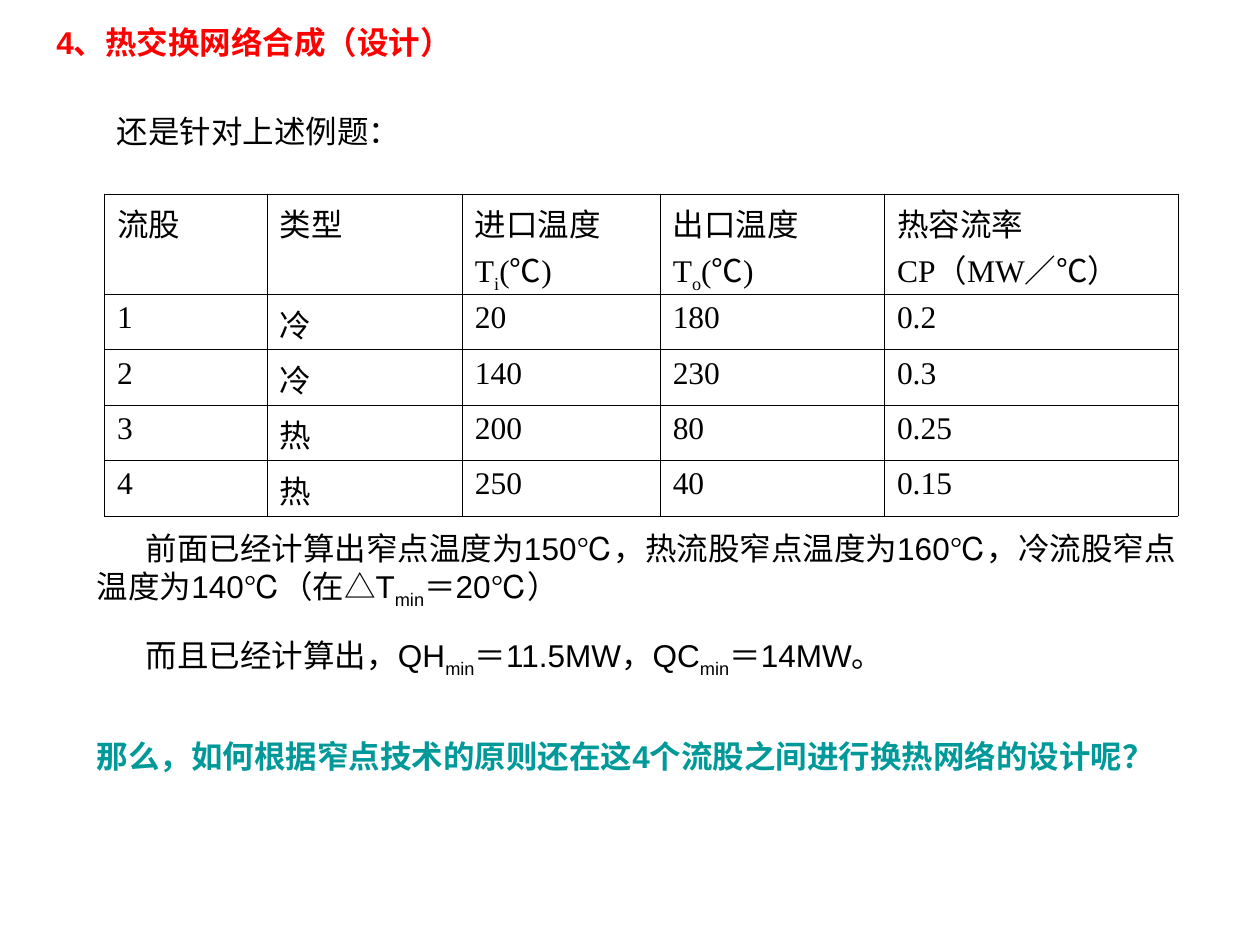
from dataclasses import dataclass

from lxml import etree
from pptx import Presentation
from pptx.dml.color import RGBColor
from pptx.enum.text import MSO_AUTO_SIZE
from pptx.oxml.ns import qn
from pptx.util import Emu, Pt

PX = 9144  # 100 px to the inch
FIT_SHAPE = MSO_AUTO_SIZE.SHAPE_TO_FIT_TEXT
COLORS = {"heading": "FF0000", "body": "000000", "question": "009999", "border": "000000"}
SANS, SERIF, CJK = "Arial", "Times New Roman", "Noto Sans CJK SC"
TEXT_SIZE = Pt(18)
BORDER_WIDTH = Pt(0.45)


@dataclass(frozen=True)
class Span:
    text: str
    subscript: bool = False
    font: str = ""


@dataclass(frozen=True)
class TextBlock:
    left: int
    top: int
    width: int
    height: int
    spans: tuple[Span, ...]
    color: str = "body"
    bold: bool = False
    indent: int = 0


MIN = Span("min", subscript=True)
BLOCKS = (
    TextBlock(35, 13, 480, 40, (Span("4、热交换网络合成（设计）"),), "heading", True),
    TextBlock(83, 84, 575, 40, (Span("还是针对上述例题："),)),
    TextBlock(67, 415, 882, 74, (
        Span("前面已经计算出窄点温度为150℃，热流股窄点温度为160℃，冷流股窄点温度为140℃（在△T"),
        MIN, Span("＝20℃）")), indent=39),
    TextBlock(67, 500, 882, 44, (
        Span("而且已经计算出，QH"), MIN, Span("＝11.5MW，QC"), MIN, Span("＝14MW。")), indent=39),
    TextBlock(67, 580, 890, 40, (
        Span("那么，如何根据窄点技术的原则还在这4个流股之间进行换热网络的设计呢？"),),
        "question", True),
)

TABLE_LEFT, TABLE_TOP = 83, 154
COLUMN_WIDTHS = (129, 155, 157, 178, 233)
HEADER_HEIGHT, ROW_HEIGHT = 77, 44


def temperature_spans(index: str) -> tuple[Span, ...]:
    return (Span("T"), Span(index, subscript=True), Span("("),
            Span("℃", font=CJK), Span(")"))


# Each header cell is a tuple of paragraphs, each paragraph a tuple of spans.
HEADER = (
    ((Span("流股"),),),
    ((Span("类型"),),),
    ((Span("进口温度"),), temperature_spans("i")),
    ((Span("出口温度"),), temperature_spans("o")),
    ((Span("热容流率"),), (Span("CP（MW／"), Span("℃）", font=CJK))),
)
STREAMS = (
    ("1", "冷", "20", "180", "0.2"),
    ("2", "冷", "140", "230", "0.3"),
    ("3", "热", "200", "80", "0.25"),
    ("4", "热", "250", "40", "0.15"),
)


def px(length: int) -> Emu:
    return Emu(length * PX)


def add_spans(para, spans: tuple[Span, ...], font: str, color: str = "body",
              bold: bool = False, east_asian: str = "") -> None:
    for span in spans:
        run = para.add_run()
        run.text = span.text
        run.font.name = span.font or font
        run.font.size = TEXT_SIZE
        run.font.bold = bold
        run.font.color.rgb = RGBColor.from_string(COLORS[color])
        properties = run._r.get_or_add_rPr()
        if span.subscript:
            properties.set("baseline", "-25000")
        if east_asian:
            etree.SubElement(properties, qn("a:ea"), typeface=east_asian)


def add_text_block(page, block: TextBlock) -> None:
    box = page.shapes.add_textbox(px(block.left), px(block.top),
                                  px(block.width), px(block.height))
    frame = box.text_frame
    frame.word_wrap = True
    frame.auto_size = FIT_SHAPE
    para = frame.paragraphs[0]
    if block.indent:
        properties = para._p.get_or_add_pPr()
        properties.set("marL", "0")
        properties.set("indent", str(px(block.indent)))
    add_spans(para, block.spans, SANS, block.color, block.bold)


def add_borders(cell) -> None:
    """Put a thin line on all four sides, ahead of the cell's fill."""
    properties = cell._tc.get_or_add_tcPr()
    for position, side in enumerate(("lnL", "lnR", "lnT", "lnB")):
        line = etree.Element(qn(f"a:{side}"), w=str(BORDER_WIDTH))
        fill = etree.SubElement(line, qn("a:solidFill"))
        etree.SubElement(fill, qn("a:srgbClr"), val=COLORS["border"])
        properties.insert(position, line)


def add_stream_table(page) -> None:
    rows = [HEADER] + [[((Span(value),),) for value in stream] for stream in STREAMS]
    heights = [HEADER_HEIGHT] + [ROW_HEIGHT] * len(STREAMS)
    table = page.shapes.add_table(
        len(rows), len(COLUMN_WIDTHS), px(TABLE_LEFT), px(TABLE_TOP),
        px(sum(COLUMN_WIDTHS)), px(sum(heights))).table
    table.first_row = False
    table.horz_banding = False
    for column, width in zip(table.columns, COLUMN_WIDTHS):
        column.width = px(width)
    for row, height, contents in zip(table.rows, heights, rows):
        row.height = px(height)
        for cell, paragraphs in zip(row.cells, contents):
            cell.margin_bottom = 0  # keeps tall CJK lines from stretching the row
            cell.fill.background()
            add_borders(cell)
            frame = cell.text_frame
            for index, spans in enumerate(paragraphs):
                para = frame.add_paragraph() if index else frame.paragraphs[0]
                add_spans(para, spans, SERIF, east_asian=CJK)


def main() -> None:
    deck = Presentation()
    deck.slide_width, deck.slide_height = px(1000), px(750)
    page = deck.slides.add_slide(deck.slide_layouts[6])
    add_stream_table(page)
    for block in BLOCKS:
        add_text_block(page, block)
    deck.save("out.pptx")


if __name__ == "__main__":
    main()
